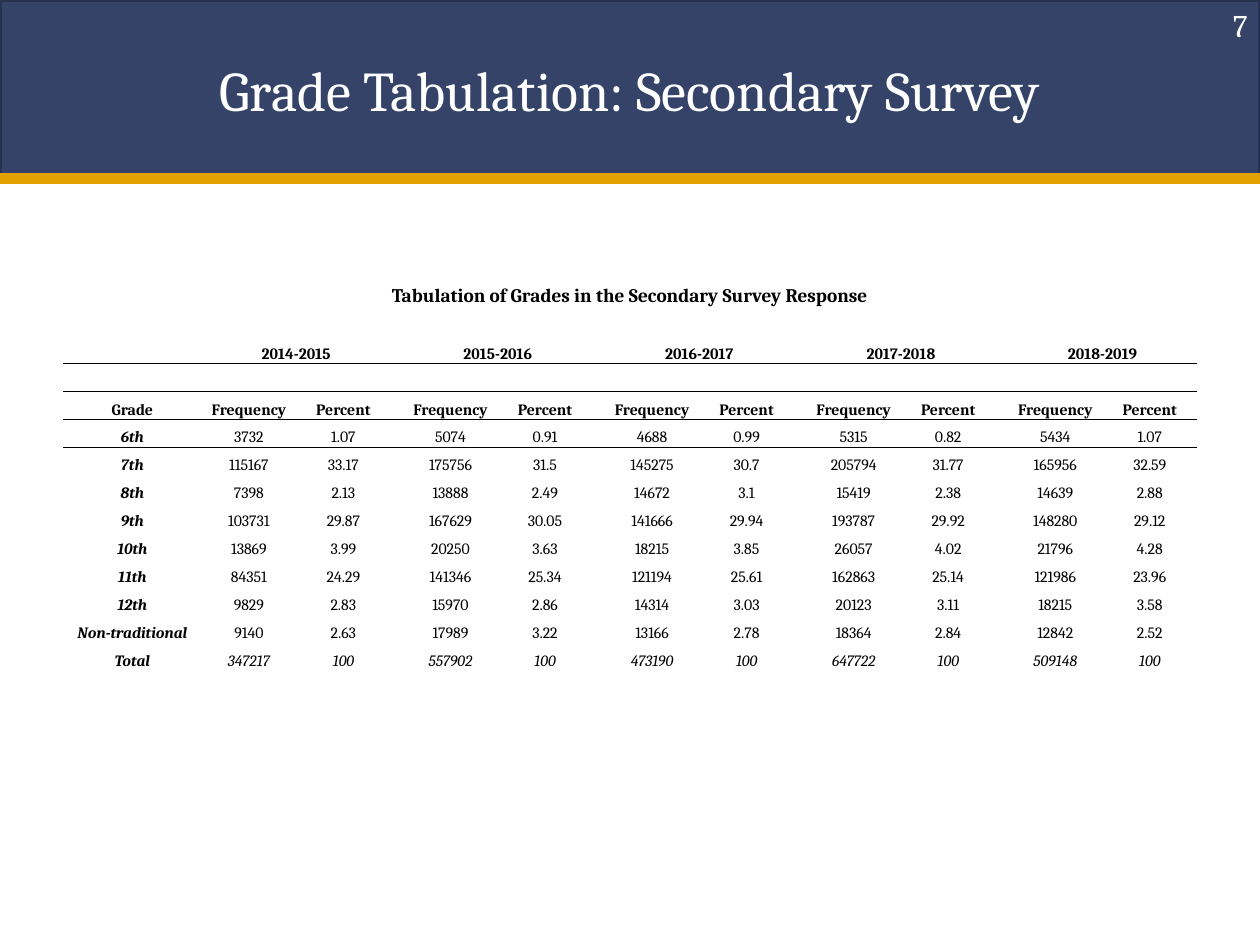
from dataclasses import dataclass

import pptx
import pptx.dml.color
import pptx.enum.shapes
import pptx.enum.text
import pptx.oxml.ns
import pptx.util
from lxml import etree

Pt = pptx.util.Pt
qn = pptx.oxml.ns.qn
Align = pptx.enum.text.PP_ALIGN
Anchor = pptx.enum.text.MSO_ANCHOR

FACE = "Cambria"
WHITE, BLACK, NAVY, EDGE, GOLD = "FFFFFF", "000000", "354369", "27324E", "E2A100"
PLAIN = "{2D5ABB26-0587-4C30-8999-92F81FD0307C}"  # table style without grid

LABELS = ["6th", "7th", "8th", "9th", "10th", "11th", "12th", "Non-traditional", "Total"]


@dataclass
class Year:
    """One school year: counts and shares by grade, total last."""
    name: str
    counts: str
    shares: str


YEARS = [
    Year("2014-2015", "3732 115167 7398 103731 13869 84351 9829 9140 347217",
         "1.07 33.17 2.13 29.87 3.99 24.29 2.83 2.63 100"),
    Year("2015-2016", "5074 175756 13888 167629 20250 141346 15970 17989 557902",
         "0.91 31.5 2.49 30.05 3.63 25.34 2.86 3.22 100"),
    Year("2016-2017", "4688 145275 14672 141666 18215 121194 14314 13166 473190",
         "0.99 30.7 3.1 29.94 3.85 25.61 3.03 2.78 100"),
    Year("2017-2018", "5315 205794 15419 193787 26057 162863 20123 18364 647722",
         "0.82 31.77 2.38 29.92 4.02 25.14 3.11 2.84 100"),
    Year("2018-2019", "5434 165956 14639 148280 21796 121986 18215 12842 509148",
         "1.07 32.59 2.88 29.12 4.28 23.96 3.58 2.52 100"),
]
NAMES, HEADS, BODY = 2, 4, 5  # row numbers
ROWS = BODY + len(LABELS)
COLS = 3 * len(YEARS)


def paint(color, code: str) -> None:
    """Set a colour format from a hex string."""
    color.rgb = pptx.dml.color.RGBColor.from_string(code)


def style(par, size: float, code: str, align, bold=False, italic=False) -> None:
    """Format one paragraph."""
    par.alignment = align
    font = par.font
    font.name, font.size, font.bold, font.italic = FACE, Pt(size), bold, italic
    paint(font.color, code)


def write(cell, text: str, size: float = 9, bold=False, italic=False) -> None:
    """Put centred text at the foot of a cell."""
    cell.text = text
    style(cell.text_frame.paragraphs[0], size, BLACK, Align.CENTER, bold, italic)


def rule(cell, side: str) -> None:
    """Draw a thin black border on one side of a cell."""
    props = cell._tc.get_or_add_tcPr()
    line = etree.Element(qn("a:" + side), w=str(Pt(0.5)))
    fill = etree.SubElement(line, qn("a:solidFill"))
    etree.SubElement(fill, qn("a:srgbClr"), val=BLACK)
    props.insert(0, line)


def banner(slide) -> None:
    """Draw the navy band and the gold line below it."""
    band = slide.shapes.add_shape(
        pptx.enum.shapes.MSO_SHAPE.RECTANGLE, 0, 0, Pt(720), Pt(102))
    band.shadow.inherit = False
    band.fill.solid()
    paint(band.fill.fore_color, NAVY)
    paint(band.line.color, EDGE)
    band.line.width = Pt(2)
    line = slide.shapes.add_connector(
        pptx.enum.shapes.MSO_CONNECTOR.STRAIGHT, Pt(-1.5), Pt(102), Pt(722), Pt(102))
    paint(line.line.color, GOLD)
    line.line.width = Pt(6)
    etree.SubElement(line._element.spPr, qn("a:effectLst"))


def heading(slide, text: str) -> None:
    """Place the title in front of the band."""
    title = slide.shapes.title
    title.left, title.top, title.width, title.height = Pt(36), Pt(6), Pt(648), Pt(90)
    title.text = text
    title.text_frame.vertical_anchor = Anchor.MIDDLE
    style(title.text_frame.paragraphs[0], 32, WHITE, Align.CENTER)
    slide.shapes._spTree.append(title._element)


def number(slide, text: str) -> None:
    """Add the page number at the top right."""
    box = slide.shapes.add_textbox(Pt(552), 0, Pt(168), Pt(29))
    frame = box.text_frame
    frame.word_wrap = True
    frame.vertical_anchor = Anchor.MIDDLE
    frame.text = text
    style(frame.paragraphs[0], 18, WHITE, Align.RIGHT)


def grid(slide):
    """Add the bare table with sizes, margins and rules."""
    frame = slide.shapes.add_table(ROWS, COLS, Pt(36), Pt(156), Pt(648), Pt(227.5))
    table = frame.table
    table.first_row = table.horz_banding = False
    table._tbl.tblPr.find(qn("a:tableStyleId")).text = PLAIN
    for index, col in enumerate(table.columns):
        col.width = Pt(79.2 if index == 0 else 7.2 if index % 3 == 0 else 54)
    for index, row in enumerate(table.rows):
        row.height = Pt(16 if index else 19.5)
        for cell in row.cells:
            cell.margin_left = cell.margin_right = cell.margin_top = Pt(0.7)
            cell.margin_bottom = 0
            cell.vertical_anchor = Anchor.BOTTOM
            cell.fill.background()
            if index in (NAMES, HEADS):
                rule(cell, "lnB")
            if index in (NAMES + 1, HEADS + 1):
                rule(cell, "lnT")
            par = cell.text_frame.paragraphs[0]
            etree.SubElement(par._p, qn("a:endParaRPr"), sz="900")
    return table


def fill(table) -> None:
    """Write the caption, heads and values."""
    last = len(LABELS) - 1
    table.cell(0, 0).merge(table.cell(0, COLS - 1))
    write(table.cell(0, 0), "Tabulation of Grades in the Secondary Survey Response", 11, True)
    write(table.cell(HEADS, 0), "Grade", bold=True)
    for row, label in enumerate(LABELS):
        write(table.cell(BODY + row, 0), label, bold=True, italic=True)
    for index, year in enumerate(YEARS):
        left = 1 + 3 * index
        table.cell(NAMES, left).merge(table.cell(NAMES, left + 1))
        write(table.cell(NAMES, left), year.name, bold=True)
        pairs = [("Frequency", year.counts), ("Percent", year.shares)]
        for col, (head, values) in enumerate(pairs, left):
            write(table.cell(HEADS, col), head, bold=True)
            for row, value in enumerate(values.split()):
                write(table.cell(BODY + row, col), value, italic=row == last)


def main() -> None:
    """Build and save the slide."""
    deck = pptx.Presentation()
    deck.slide_width, deck.slide_height = Pt(720), Pt(540)
    slide = deck.slides.add_slide(deck.slide_layouts.get_by_name("Title Only"))
    banner(slide)
    heading(slide, "Grade Tabulation: Secondary Survey")
    fill(grid(slide))
    number(slide, "7")
    deck.save("out.pptx")


main()
